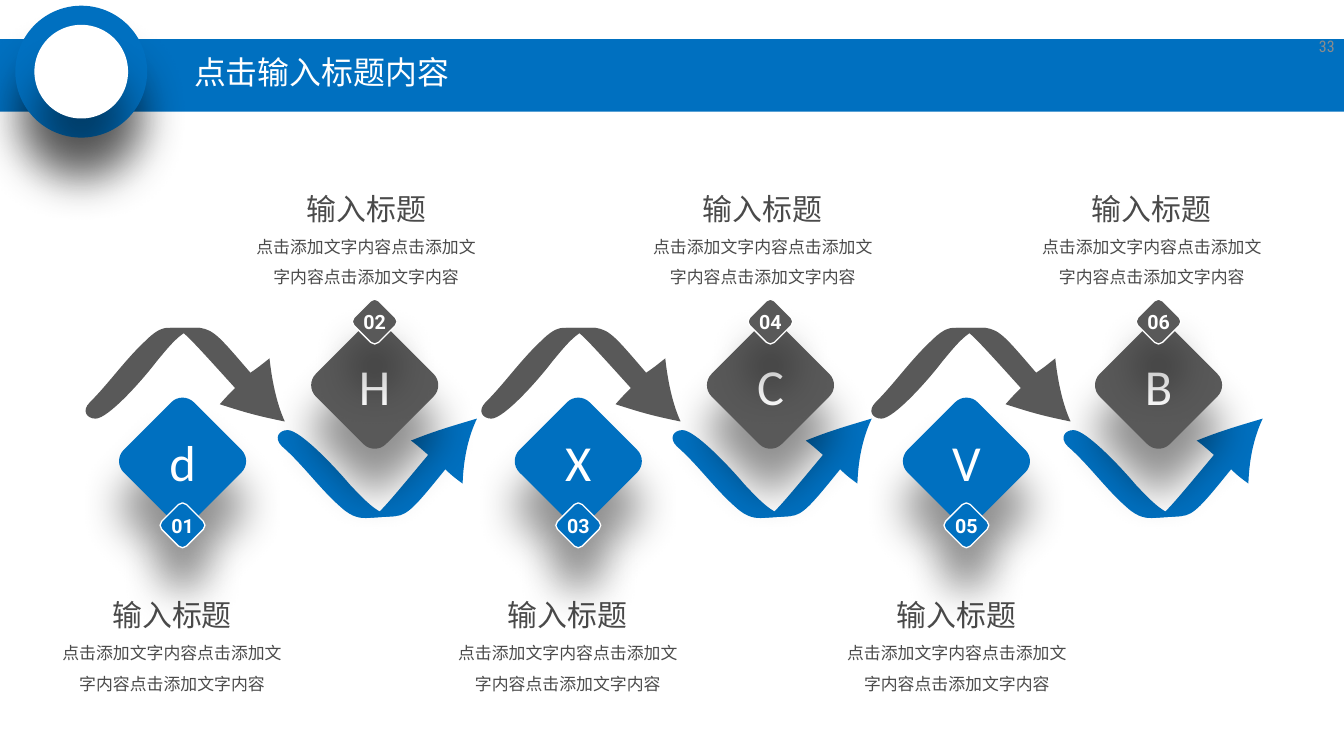
from dataclasses import dataclass
from math import sqrt

from lxml import etree
from pptx import Presentation
from pptx.dml.color import RGBColor
from pptx.enum.shapes import MSO_SHAPE
from pptx.enum.text import MSO_ANCHOR, MSO_AUTO_SIZE, PP_ALIGN
from pptx.oxml.ns import qn
from pptx.util import Inches, Pt

RECTANGLE, OVAL = MSO_SHAPE.RECTANGLE, MSO_SHAPE.OVAL
MIDDLE = MSO_ANCHOR.MIDDLE
LEFT, CENTER, RIGHT = PP_ALIGN.LEFT, PP_ALIGN.CENTER, PP_ALIGN.RIGHT
GROW = MSO_AUTO_SIZE.SHAPE_TO_FIT_TEXT

BLUE = RGBColor(0x00, 0x70, 0xC0)
GRAY = RGBColor(0x59, 0x59, 0x59)
WHITE = RGBColor(0xFF, 0xFF, 0xFF)
TEXT_GRAY = RGBColor(0x4A, 0x4A, 0x4A)
NUMBER_GRAY = RGBColor(0x8C, 0x8C, 0x8C)

# The slide is a grid of square cells; every length below is in cells.
CELL = Inches(0.1)
COLUMNS, ROWS = 140.6, 79.1
TILE_RADIUS, BADGE_RADIUS = 6.65, 2.35
CORNER_SHARE = 0.25
ARC_HANDLE = 0.55

Point = tuple[float, float]


@dataclass(frozen=True)
class Level:
    """What all upper or all lower stages share."""
    color: RGBColor
    tile_row: float
    badge_row: float
    caption_row: float


@dataclass(frozen=True)
class Arrow:
    """Outlines made of a start point followed by triples of Bezier points."""
    color: RGBColor
    row: float
    outlines: tuple[list[Point], list[Point]]


@dataclass(frozen=True)
class Stage:
    letter: str
    number: str
    center: float
    arrow_left: float
    caption_left: float
    level: Level
    arrow: Arrow


LOWER = Level(BLUE, 48.25, 54.97, 60.1)
UPPER = Level(GRAY, 40.3, 33.65, 17.6)

RISING = Arrow(GRAY, 34.3, (
    [(9.2, 0), (8.8, 0), (8.1, 0), (6.9, 1.2), (4.6, 3.3), (3, 5.7), (0.9, 7.8),
     (0, 8.7), (0.6, 9.5), (1.5, 9.5), (2.8, 9.5), (6.3, 5.6), (7.9, 3.5),
     (9.4, 1.7), (10.7, 0), (12.4, 0)],
    [(14.5, 8), (15.2, 7.2), (15.3, 7.1), (16.1, 6.3), (10.4, 0), (10.4, 0), (9.3, 0),
     (12.4, 0), (12.4, 0), (12.4, 0), (13.9, 0.2), (14.6, 1.1), (17.7, 4.7),
     (18.6, 4.1), (18.8, 3.9), (19.7, 3.2), (20, 6), (20.6, 8.3), (21.3, 9.8),
     (18.3, 9.2), (17, 8.8), (14.5, 8)]))
FALLING = Arrow(BLUE, 43.8, (
    [(9.7, 10.4), (9.2, 10.4), (8.3, 10.4), (7.1, 9.3), (4.9, 7.4), (3.1, 4.8), (0.9, 2.9),
     (0, 2), (0.6, 1.2), (1.5, 1.2), (2.8, 1.2), (6.4, 5), (8, 6.9),
     (9.7, 8.7), (11.1, 10.2), (12.8, 10.2)],
    [(14.4, 2.3), (15.2, 2.9), (15.5, 3.2), (16.2, 3.8), (10.7, 10.4), (10.7, 10.4), (9.7, 10.4),
     (12.8, 10.2), (12.8, 10.2), (12.8, 10.2), (14.1, 10.1), (15, 9), (18, 5.3),
     (18.7, 6), (19, 6.2), (19.8, 6.8), (19.9, 3.9), (20.5, 1.7), (21.3, 0),
     (18.3, 0.9), (16.9, 1.3), (14.4, 2.3)]))

STAGES = [
    Stage("d", "01", 19.1, 8.5, 5.1, LOWER, RISING),
    Stage("H", "02", 39.2, 28.6, 25.4, UPPER, FALLING),
    Stage("X", "03", 60.5, 49.9, 46.5, LOWER, RISING),
    Stage("C", "04", 80.6, 69.9, 66.9, UPPER, FALLING),
    Stage("V", "05", 101.1, 90.7, 87.2, LOWER, RISING),
    Stage("B", "06", 121.2, 110.8, 107.6, UPPER, FALLING),
]


def cells(*lengths: float) -> list[int]:
    return [round(length * CELL) for length in lengths]


def add_run(paragraph, text: str, size: float, font: str, color: RGBColor, bold=False) -> None:
    run = paragraph.add_run()
    run.text = text
    run.font.size, run.font.name, run.font.bold = Pt(size), font, bold
    run.font.color.rgb = color


def paint(shape, color: RGBColor) -> None:
    shape.shadow.inherit = False
    shape.fill.solid()
    shape.fill.fore_color.rgb = color
    shape.line.fill.background()


def cast_shadow(shape) -> None:
    """Put a soft black shadow below a painted shape."""
    effects = shape.element.spPr.find(qn("a:effectLst"))
    shadow = etree.SubElement(effects, qn("a:outerShdw"), blurRad=str(Pt(33)),
                              dist=str(Pt(33)), dir="5400000", rotWithShape="0")
    black = etree.SubElement(shadow, qn("a:srgbClr"), val="000000")
    etree.SubElement(black, qn("a:alpha"), val="43000")


def add_curved_outline(shapes, points: list[Point], color: RGBColor):
    """Draw a start point and triples of Bezier points as a closed freeform."""
    start, *others = [tuple(cells(*point)) for point in points]
    builder = shapes.build_freeform(*start)
    builder.add_line_segments(others, close=True)
    shape = builder.convert_to_shape()
    paint(shape, color)
    segments = list(shape.element.iter(qn("a:lnTo")))
    for first in range(0, len(segments), 3):
        curve, *handles = segments[first:first + 3]
        curve.tag = qn("a:cubicBezTo")
        for segment in handles:
            curve.append(segment[0])
            segment.getparent().remove(segment)
    return shape


def add_arrow(shapes, arrow: Arrow, left: float) -> None:
    group = shapes.add_group_shape()
    for outline in arrow.outlines:
        points = [(left + x, arrow.row + y) for x, y in outline]
        add_curved_outline(group.shapes, points, arrow.color)


def diamond_points(center: Point, radius: float) -> list[Point]:
    """Four rounded corners, each joined to the next by a straight side."""
    corner = radius * CORNER_SHARE
    half = corner / sqrt(2)
    handle = half * ARC_HANDLE
    base = radius - corner + half
    arc = [(base, -half), (base + handle, handle - half),
           (base + handle, half - handle), (base, half)]
    points = []
    for x_axis, y_axis in ((1, 0), (0, 1), (-1, 0), (0, -1)):
        turned = [(center[0] + out * x_axis - side * y_axis,
                   center[1] + out * y_axis + side * x_axis) for out, side in arc]
        points += [turned[0]] * (3 if points else 1) + turned[1:]
    return points


def add_diamond(shapes, center: Point, radius: float, color: RGBColor, text: str,
                size: float, font: str, bold=False):
    shape = add_curved_outline(shapes, diamond_points(center, radius), color)
    cast_shadow(shape)
    frame = shape.text_frame
    frame.margin_left = frame.margin_right = frame.margin_top = frame.margin_bottom = 0
    frame.vertical_anchor = MIDDLE
    frame.paragraphs[0].alignment = CENTER
    add_run(frame.paragraphs[0], text, size, font, WHITE, bold)
    return shape


def add_caption(shapes, left: float, top: float) -> None:
    frame = shapes.add_textbox(*cells(left, top, 25.8, 13.3)).text_frame
    frame.word_wrap, frame.auto_size = True, GROW
    frame.margin_left = frame.margin_right = Inches(0.14)
    frame.margin_top, frame.margin_bottom = Inches(0.05), Inches(0.07)
    heading, detail = frame.paragraphs[0], frame.add_paragraph()
    for paragraph in (heading, detail):
        paragraph.alignment, paragraph.line_spacing = CENTER, 1.5
    add_run(heading, "输入标题", 22.5, "Roboto", TEXT_GRAY)
    add_run(detail, "点击添加文字内容" * 3, 12.7, "Roboto", TEXT_GRAY)


def add_header(slide) -> None:
    paint(slide.shapes.add_shape(RECTANGLE, *cells(0, 4.1, COLUMNS, 7.6)), BLUE)
    for inset, color in ((0, BLUE), (2, WHITE)):
        diameter = 13.8 - 2 * inset
        ring = slide.shapes.add_shape(OVAL, *cells(1.6 + inset, 0.6 + inset, diameter, diameter))
        paint(ring, color)
        cast_shadow(ring)

    title = slide.shapes.title
    title.element.getparent().append(title.element)
    title.left, title.top, title.width, title.height = cells(19.3, 5, 34.7, 5.5)
    number = slide.shapes.add_textbox(*cells(133.7, 2.9, 6.9, 4.2))
    for shape, text, size, color, alignment in (
            (title, "点击输入标题内容", 24, WHITE, LEFT), (number, "33", 12, NUMBER_GRAY, RIGHT)):
        frame = shape.text_frame
        frame.word_wrap, frame.vertical_anchor = True, MIDDLE
        paragraph = frame.paragraphs[0]
        paragraph.alignment, paragraph.line_spacing = alignment, 0.9
        add_run(paragraph, text, size, "Roboto Condensed", color)


presentation = Presentation()
presentation.slide_width, presentation.slide_height = cells(COLUMNS, ROWS)
main_slide = presentation.slides.add_slide(presentation.slide_layouts[5])
add_header(main_slide)
for stage in STAGES:
    add_arrow(main_slide.shapes, stage.arrow, stage.arrow_left)
for stage in STAGES:
    add_diamond(main_slide.shapes, (stage.center, stage.level.tile_row), TILE_RADIUS,
                stage.level.color, stage.letter, 38, "Calibri")
for stage in STAGES:
    add_caption(main_slide.shapes, stage.caption_left, stage.level.caption_row)
    badge = add_diamond(main_slide.shapes, (stage.center, stage.level.badge_row), BADGE_RADIUS,
                        stage.level.color, stage.number, 14.8, "Roboto", bold=True)
    badge.line.color.rgb, badge.line.width = WHITE, Pt(1)
presentation.save("out.pptx")
